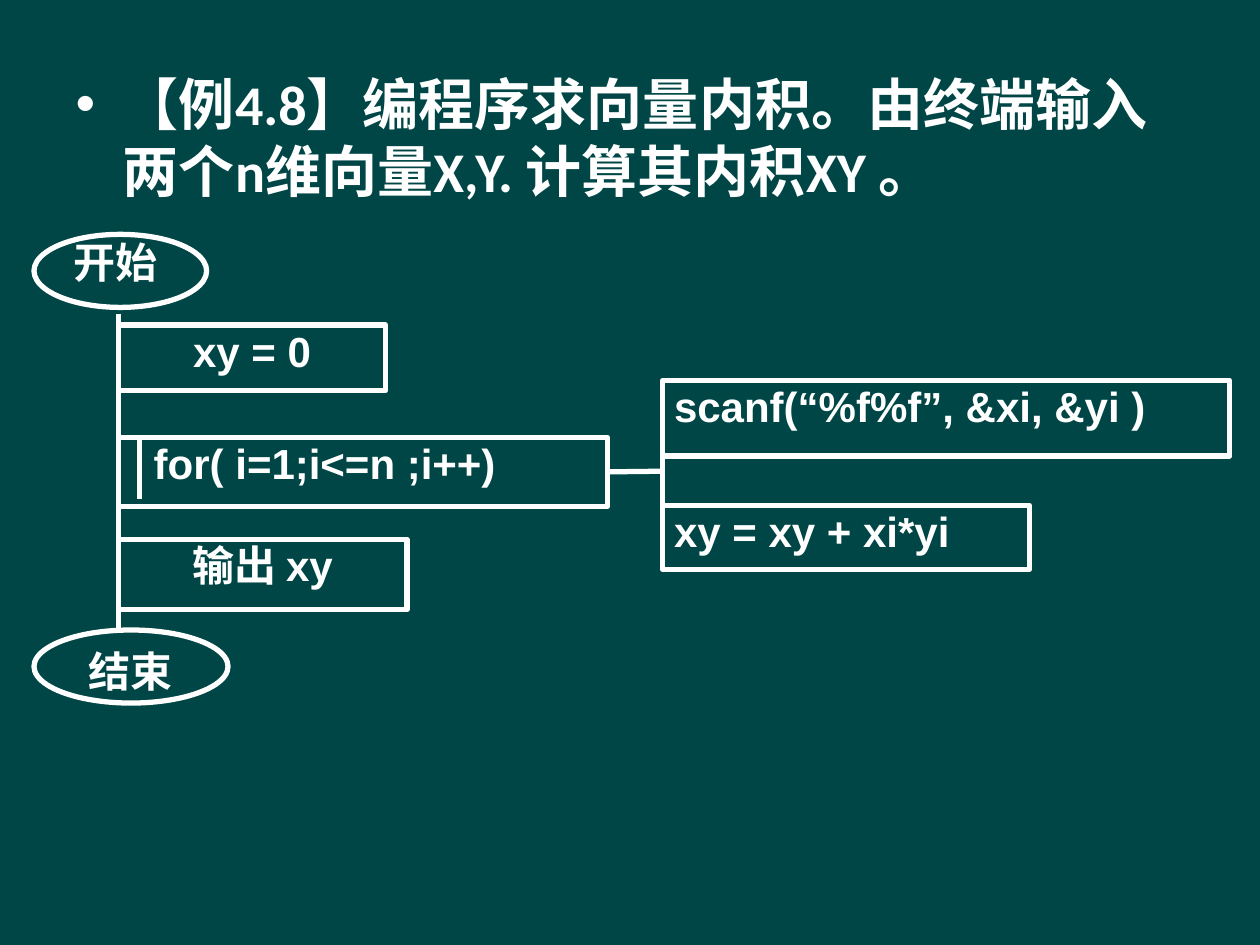
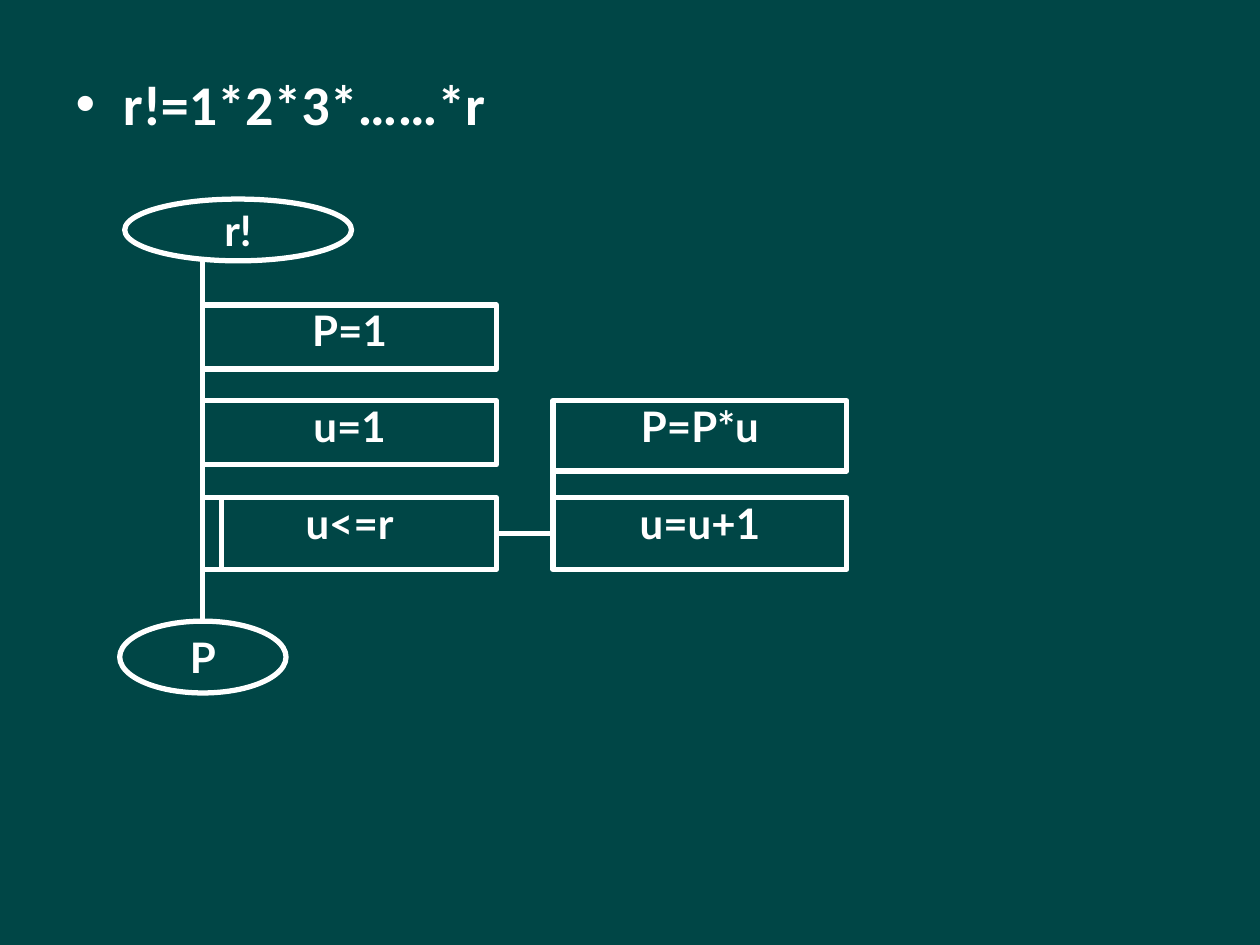
"""Build two slides that show program flowcharts on a dark green ground."""
from lxml import etree
from pptx import Presentation
from pptx.dml.color import RGBColor
from pptx.enum.shapes import MSO_CONNECTOR, MSO_SHAPE
from pptx.enum.text import MSO_ANCHOR, MSO_AUTO_SIZE, PP_ALIGN
from pptx.oxml.ns import qn
from pptx.util import Inches, Pt

STRAIGHT = MSO_CONNECTOR.STRAIGHT
RECTANGLE, OVAL = MSO_SHAPE.RECTANGLE, MSO_SHAPE.OVAL
LEFT, CENTER = PP_ALIGN.LEFT, PP_ALIGN.CENTER
TOP, MIDDLE = MSO_ANCHOR.TOP, MSO_ANCHOR.MIDDLE
NO_AUTOFIT = MSO_AUTO_SIZE.NONE

COLORS = {"background": "004646", "ink": "FFFFFF"}
INK = RGBColor.from_string(COLORS["ink"])
LINE_WIDTH = Pt(3)
NO_MARGINS = (0, 0, 0, 0)


def format_text(paragraph, text, font_name, size, alignment):
    paragraph.text = text
    paragraph.alignment = alignment
    paragraph.space_before = Pt(0)
    paragraph.font.name = font_name
    paragraph.font.size = Pt(size)
    paragraph.font.bold = True
    paragraph.font.color.rgb = INK


# Ovals and boxes: left, top, width, height, text (then alignment and margins)
SLIDES = [
    {
        "statement": "【例4.8】编程序求向量内积。由终端输入两个n维向量X,Y. 计算其内积XY 。",
        "height": 1.38,
        "font": "Arial",
        "ovals": [
            (0.27, 1.86, 1.37, 0.58, "开始", CENTER, (0, 0, 0.08, 0.14)),
            (0.27, 5, 1.54, 0.58, "结束", CENTER, (0, 0.07, 0, 0)),
        ],
        "boxes": [
            (0.94, 2.58, 2.12, 0.52, "xy = 0", CENTER, NO_MARGINS),
            (0.94, 3.47, 3.88, 0.55, "for( i=1;i<=n ;i++)", LEFT, (0.28, 0, 0, 0)),
            (0.94, 4.28, 2.29, 0.56, "输出 xy", CENTER, NO_MARGINS),
            (5.26, 3.02, 4.5, 0.6, "scanf(“%f%f”, &xi, &yi )", LEFT, (0.09, 0, 0, 0)),
            (5.26, 4.01, 2.91, 0.51, "xy = xy + xi*yi", LEFT, (0.09, 0, 0, 0)),
        ],
        "lines": [
            (0.94, 2.49, 0.94, 5, None, None),
            (1.11, 3.47, 1.11, 3.96, None, None),
            (4.82, 3.74, 5.26, 3.74, ("for( i=1;i<=n ;i++)", 3), None),
            (5.26, 3.02, 5.26, 4.46, None, None),
        ],
    },
    {
        "statement": "r!=1*2*3*……*r",
        "height": 1.57,
        "font": "Lato",
        "ovals": [
            (0.99, 1.58, 1.8, 0.49, "r!", CENTER, NO_MARGINS),
            (0.95, 4.93, 1.32, 0.57, "P", CENTER, NO_MARGINS),
        ],
        "boxes": [
            (1.61, 2.42, 2.33, 0.51, "P=1", CENTER, NO_MARGINS),
            (1.61, 3.18, 2.33, 0.51, "u=1", CENTER, NO_MARGINS),
            (1.61, 3.95, 2.33, 0.57, "u<=r", CENTER, NO_MARGINS),
            (4.39, 3.18, 2.33, 0.56, "P=P*u", CENTER, NO_MARGINS),
            (4.39, 3.95, 2.33, 0.57, "u=u+1", CENTER, NO_MARGINS),
        ],
        "lines": [
            (1.61, 2.07, 1.61, 4.93, None, ("P", 0)),
            (1.76, 3.95, 1.76, 4.52, None, None),
            (3.94, 4.23, 4.39, 4.23, ("u<=r", 3), ("u=u+1", 1)),
            (4.39, 3.18, 4.39, 4.51, None, None),
        ],
    },
]

presentation = Presentation()
presentation.slide_width = Inches(10)
presentation.slide_height = Inches(7.5)
background = presentation.slide_master.background.fill
background.solid()
background.fore_color.rgb = RGBColor.from_string(COLORS["background"])

for content in SLIDES:
    slide = presentation.slides.add_slide(presentation.slide_layouts[1])
    title = slide.shapes.title.element
    title.getparent().remove(title)

    body = slide.placeholders[1]
    body.left, body.top = Inches(0.5), Inches(0.5)
    body.width, body.height = Inches(9), Inches(content["height"])
    body.text_frame.auto_size = NO_AUTOFIT
    format_text(body.text_frame.paragraphs[0], content["statement"], "Calibri", 32, LEFT)

    steps = {}
    for kind, anchor, group in ((OVAL, MIDDLE, "ovals"), (RECTANGLE, TOP, "boxes")):
        for left, top, width, height, text, alignment, margins in content[group]:
            shape = slide.shapes.add_shape(
                kind, Inches(left), Inches(top), Inches(width), Inches(height))
            shape.shadow.inherit = False
            shape.fill.background()
            shape.line.color.rgb = INK
            shape.line.width = LINE_WIDTH
            frame = shape.text_frame
            frame.word_wrap = kind == RECTANGLE
            frame.vertical_anchor = anchor
            (frame.margin_left, frame.margin_top,
             frame.margin_right, frame.margin_bottom) = map(Inches, margins)
            format_text(frame.paragraphs[0], text, content["font"], 24, alignment)
            steps[text] = shape

    for *ends, begin, end in content["lines"]:
        connector = slide.shapes.add_connector(STRAIGHT, *map(Inches, ends))
        connector.line.color.rgb = INK
        connector.line.width = LINE_WIDTH
        etree.SubElement(connector.element.spPr, qn("a:effectLst"))
        if begin:
            connector.begin_connect(steps[begin[0]], begin[1])
        if end:
            connector.end_connect(steps[end[0]], end[1])

presentation.save("out.pptx")
